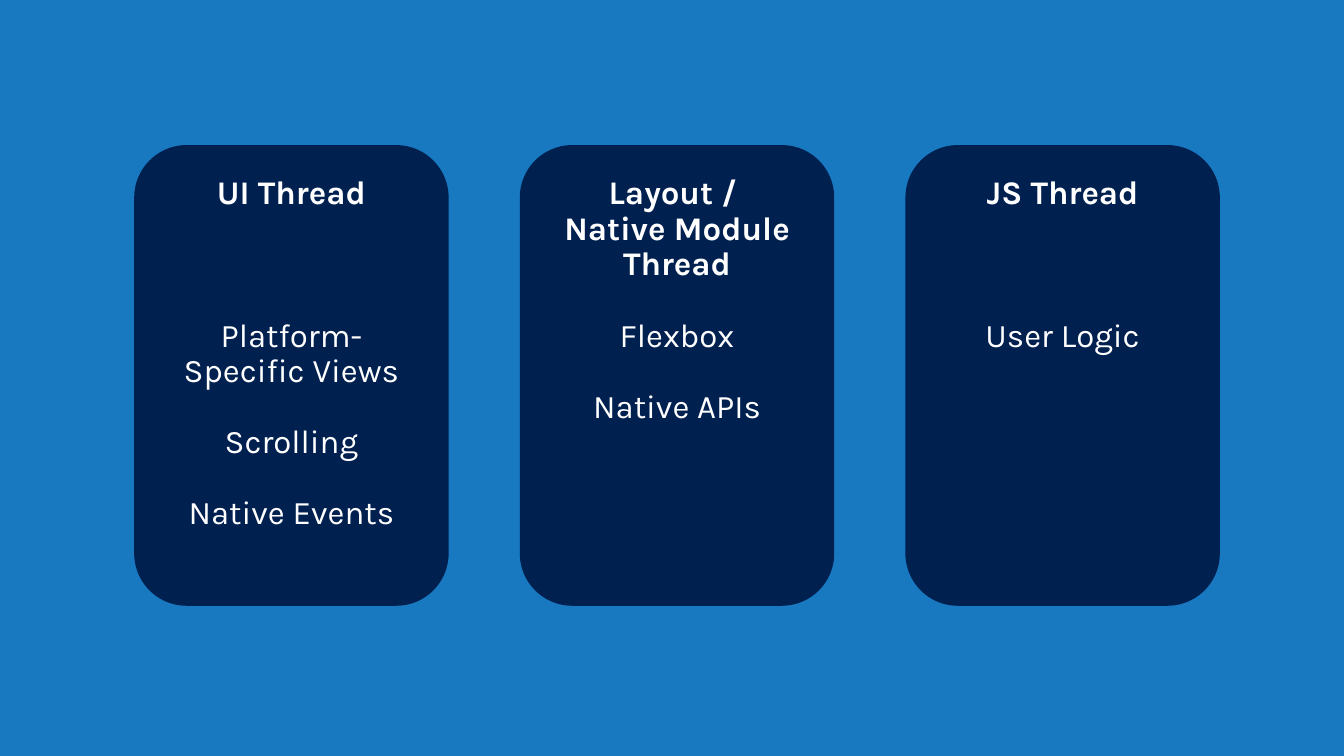
from dataclasses import dataclass

from pptx import Presentation
from pptx.dml.color import RGBColor
from pptx.enum.shapes import MSO_SHAPE as Shape
from pptx.enum.text import MSO_ANCHOR as Anchor, PP_ALIGN as Align
from pptx.util import Cm, Pt


@dataclass(frozen=True)
class Theme:
    background: RGBColor = RGBColor(0x18, 0x78, 0xC0)
    card: RGBColor = RGBColor(0x00, 0x20, 0x50)
    text: RGBColor = RGBColor(0xFF, 0xFF, 0xFF)
    font: str = "Karla"
    size: float = 24
    line_spacing: float = 0.9
    line_height: float = 25.9  # points from one line to the next


class ThreadSlide:
    """Holds the theme and the current slide."""

    def __init__(self, slide, theme):
        self.slide = slide
        self.theme = theme

    def background(self):
        fill = self.slide.background.fill
        fill.solid()
        fill.fore_color.rgb = self.theme.background

    def line(self, paragraph, text, bold=False, lines_before=0):
        paragraph.alignment = Align.CENTER
        paragraph.line_spacing = self.theme.line_spacing
        if lines_before:
            paragraph.space_before = Pt(lines_before * self.theme.line_height)
        run = paragraph.add_run()
        run.text = text
        run.font.name = self.theme.font
        run.font.size = Pt(self.theme.size)
        run.font.bold = bold
        run.font.color.rgb = self.theme.text

    def card(self, left, top, width, height, heading, heading_lines, duties):
        card = self.slide.shapes.add_shape(
            Shape.ROUNDED_RECTANGLE, left, top, width, height)
        card.shadow.inherit = False
        card.fill.solid()
        card.fill.fore_color.rgb = self.theme.card
        card.line.fill.background()

        frame = card.text_frame
        frame.word_wrap = True
        frame.vertical_anchor = Anchor.TOP
        frame.margin_left = frame.margin_right = Cm(0.51)
        frame.margin_top = frame.margin_bottom = Cm(0.41)

        for i, text in enumerate(heading):
            paragraph = frame.add_paragraph() if i else frame.paragraphs[0]
            self.line(paragraph, text, bold=True)
        # The first duty starts on the fifth line of every card
        for i, text in enumerate(duties):
            gap = 1 if i else 4 - heading_lines
            self.line(frame.add_paragraph(), text, lines_before=gap)


# Heading paragraphs, heading lines once wrapped, duties
THREADS = [
    (["UI Thread"], 1,
     ["Platform-Specific Views", "Scrolling", "Native Events"]),
    (["Layout / ", "Native Module Thread"], 3, ["Flexbox", "Native APIs"]),
    (["JS Thread"], 1, ["User Logic"]),
]


def main():
    deck = Presentation()
    deck.slide_width, deck.slide_height = Cm(34.54), Cm(19.43)
    blank_layout = deck.slide_layouts[6]
    threads = ThreadSlide(deck.slides.add_slide(blank_layout), Theme())

    # Backdrop
    threads.background()

    # One card per thread, evenly spaced
    for column, (heading, heading_lines, duties) in enumerate(THREADS):
        threads.card(Cm(3.45 + column * 9.91), Cm(3.73), Cm(8.08), Cm(11.84),
                     heading, heading_lines, duties)

    deck.save("out.pptx")


if __name__ == "__main__":
    main()
